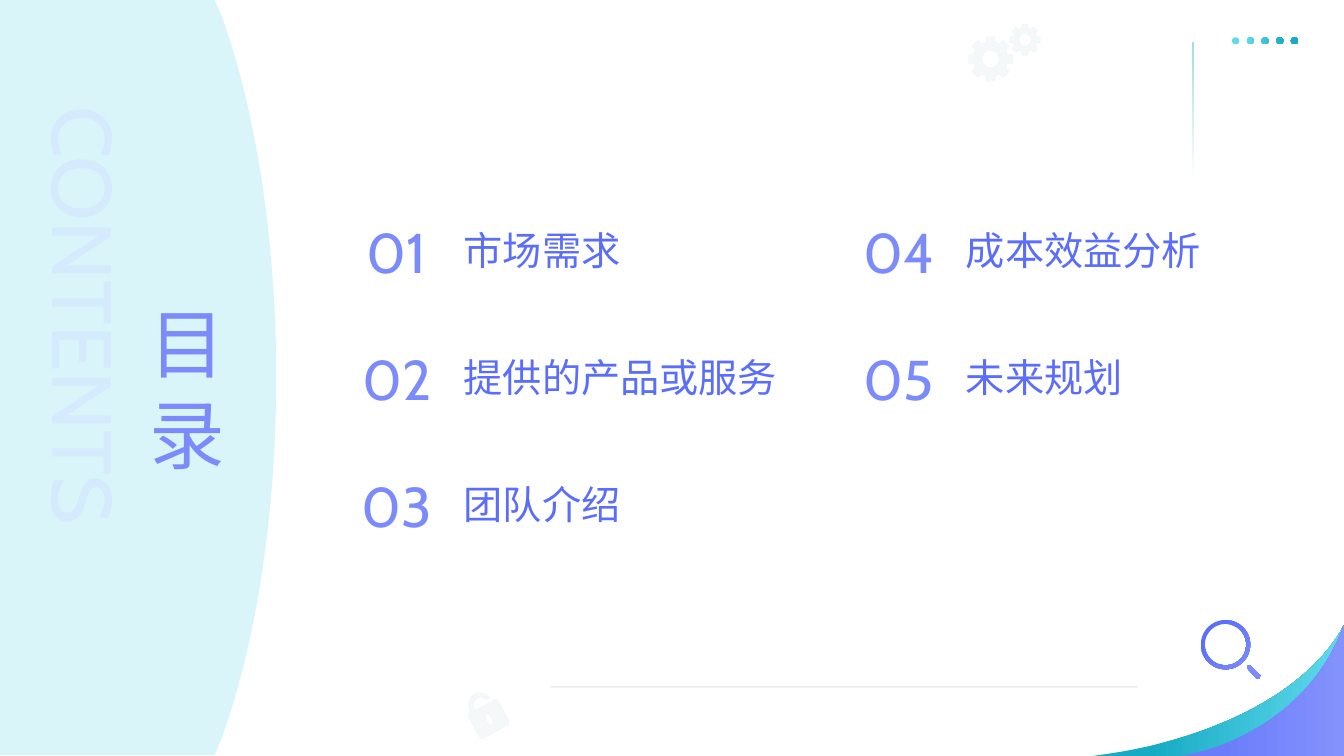
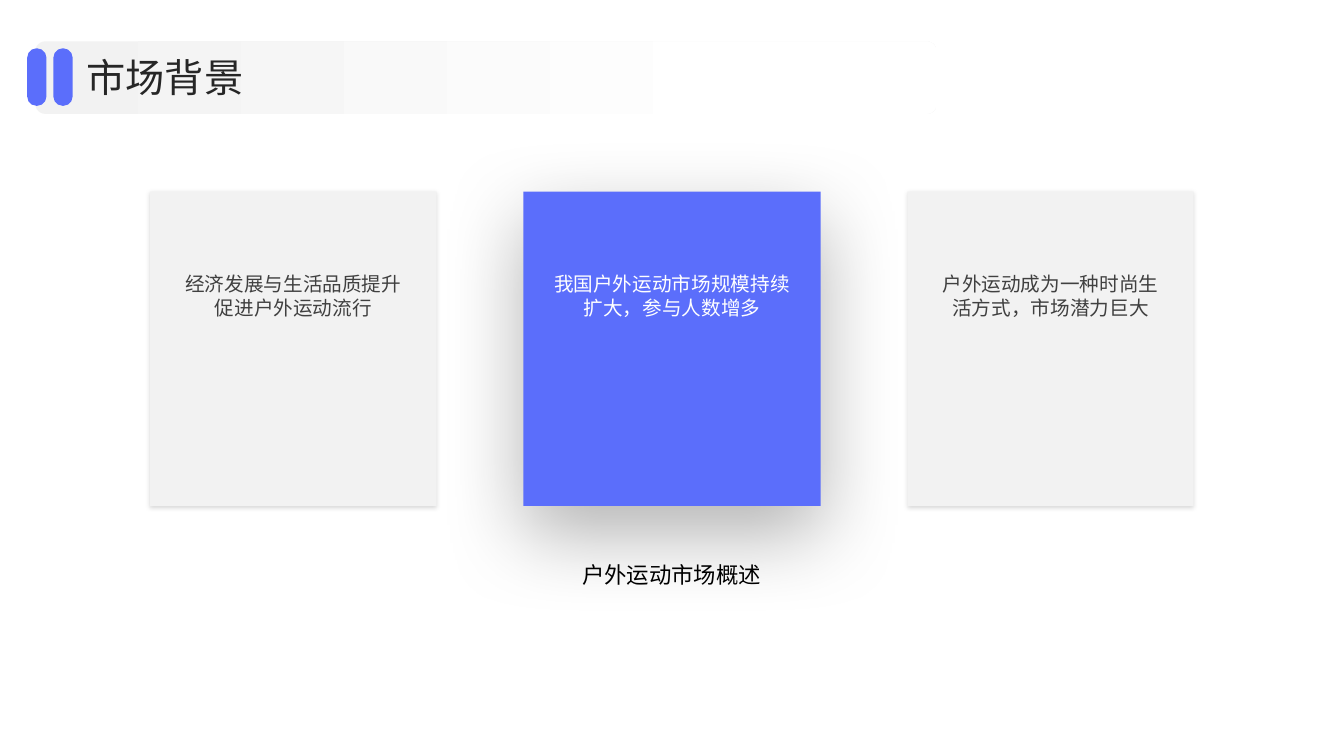
from dataclasses import dataclass
from math import cos, radians, sin

from lxml import etree
from pptx import Presentation
from pptx import util as u
from pptx.dml.color import RGBColor
from pptx.enum import shapes, text
from pptx.oxml import ns

PX = 9144
FACE = "Cabin"
SANS = "Noto Sans CJK SC"

WHITE = RGBColor(0xFF, 0xFF, 0xFF)
BLACK = RGBColor(0, 0, 0)
INK = RGBColor(0x26, 0x26, 0x26)
GREY = RGBColor(0x40, 0x40, 0x40)
RULE = RGBColor(0xD9, 0xD9, 0xD9)
PALE = RGBColor(0xF2, 0xF2, 0xF2)
BLUE = RGBColor(0x5B, 0x6E, 0xFB)
LILAC = RGBColor(0x7C, 0x8B, 0xFC)
VIOLET = RGBColor(0x6B, 0x7C, 0xFB)
MAUVE = RGBColor(0x84, 0x92, 0xFC)
EDGE = RGBColor(0x9D, 0xA8, 0xFD)
MIST = RGBColor(0xD5, 0xEA, 0xFC)
ICE = RGBColor(0xCA, 0xF2, 0xF9)
AQUA = RGBColor(0x61, 0xD9, 0xED)
TEAL = RGBColor(0x16, 0xAB, 0xC4)
PINE = RGBColor(0x0B, 0x56, 0x62)

LEFT, MID = text.PP_ALIGN.LEFT, text.PP_ALIGN.CENTER
TOP, HALF = text.MSO_ANCHOR.TOP, text.MSO_ANCHOR.MIDDLE
RECT = shapes.MSO_SHAPE.RECTANGLE
ROUND = shapes.MSO_SHAPE.ROUNDED_RECTANGLE


@dataclass(frozen=True)
class Box:
    x: int
    y: int
    w: int
    h: int

    def emu(self) -> list[int]:
        return [v * PX for v in (self.x, self.y, self.w, self.h)]


@dataclass(frozen=True)
class Blend:
    start: RGBColor
    end: RGBColor
    low: float = 0
    high: float = 1
    angle: int = 0


@dataclass(frozen=True)
class Type:
    size: int
    ink: RGBColor | Blend
    face: str = FACE
    align: int = LEFT
    anchor: int = HALF


@dataclass(frozen=True)
class Shade:
    alpha: int
    blur: int
    drop: int


@dataclass(frozen=True)
class Card:
    words: str
    width: int
    fill: RGBColor
    ink: RGBColor
    shade: Shade


@dataclass(frozen=True)
class Gear:
    x: float
    y: float
    tip: float
    root: float
    hole: float


GLOW = Blend(LILAC, BLUE, angle=315)
DIGIT = Type(40, GLOW, align=MID)
TOPIC = Type(28, BLUE)
SIDE = Type(54, GLOW, align=MID, anchor=TOP)
GHOST = Type(60, MIST, align=MID)
TITLE = Type(28, INK, SANS)
NOTE = Type(16, BLACK, SANS, MID, TOP)

SOFT = Shade(15, 3, 1)
DEEP = Shade(30, 60, 20)

TOPICS = ["市场需求", "提供的产品或服务", "团队介绍", "成本效益分析", "未来规划"]
CARDS = [
    Card("经济发展与生活品质提升促进户外运动流行", 284, PALE, GREY, SOFT),
    Card("我国户外运动市场规模持续扩大，参与人数增多", 295, BLUE, WHITE, DEEP),
    Card("户外运动成为一种时尚生活方式，市场潜力巨大", 284, PALE, GREY, SOFT),
]
GEARS = [Gear(982.5, 58.5, 22.5, 17.5, 8.5), Gear(1016.5, 39.5, 15.5, 12, 6)]

PANEL = [(0, 0), (213, 0), (220, 16), (253, 108, 274, 234, 274, 374),
         (274, 514, 253, 641, 220, 732), (213, 749), (0, 749)]
WAVE = [(1333, 620), (1332, 622), (1298, 684, 1209, 732, 1098, 748),
        (1084, 750), (1333, 750)]
CREST = [(1333, 620), (1332, 622), (1310, 684, 1253, 732, 1181, 748),
         (1172, 750), (1333, 750)]
GRIP = [(1237, 663), (1246, 673), (1249, 673), (1250, 670), (1240, 660),
        (1237, 660)]
LOCK = [(479, 733), (504, 719), (505, 715), (494, 695), (491, 694),
        (471, 705), (470, 703), (468, 699, 470, 695, 473, 693),
        (476, 691, 479, 692, 482, 694), (485, 693), (485, 691),
        (480, 686, 472, 686, 468, 691), (464, 695, 464, 700, 466, 705),
        (467, 707), (465, 708), (464, 711), (476, 732)]
KEY = [(481, 711), (482, 708), (485, 709), (489, 715), (488, 719), (484, 718)]


def trace(steps: list[tuple]) -> list[tuple]:
    pts = []
    for step in steps:
        if len(step) == 2:
            pts.append(step)
            continue
        ends = [pts[-1], step[:2], step[2:4], step[4:]]
        for i in range(1, 25):
            t = i / 24
            mix = ((1 - t) ** 3, 3 * t * (1 - t) ** 2, 3 * t * t * (1 - t), t ** 3)
            pts.append(tuple(sum(m * p[k] for m, p in zip(mix, ends)) for k in (0, 1)))
    return pts


def polar(x: float, y: float, r: float, deg: float) -> tuple:
    return x + r * cos(radians(deg)), y + r * sin(radians(deg))


def ring(x: float, y: float, r: float) -> list[tuple]:
    return [polar(x, y, r, deg) for deg in range(0, 360, 6)]


def teeth(gear: Gear) -> list[tuple]:
    turns = ((gear.root, -15), (gear.tip, -11), (gear.tip, 11), (gear.root, 15))
    return [polar(gear.x, gear.y, r, base + turn)
            for base in range(0, 360, 45) for r, turn in turns]


def tint(fill, ink: RGBColor | Blend) -> None:
    if isinstance(ink, RGBColor):
        fill.solid()
        fill.fore_color.rgb = ink
        return
    fill.gradient()
    fill.gradient_angle = ink.angle
    ends = ((ink.start, ink.low), (ink.end, ink.high))
    for stop, (color, place) in zip(fill.gradient_stops, ends):
        stop.color.rgb = color
        stop.position = place


def fade(shape, *alphas: int) -> None:
    tones = list(shape.element.spPr.iter(ns.qn("a:srgbClr")))
    for tone, alpha in zip(tones, alphas):
        etree.SubElement(tone, ns.qn("a:alpha")).set("val", str(alpha * 1000))


def paint(shape, ink: RGBColor | Blend):
    shape.shadow.inherit = False
    tint(shape.fill, ink)
    shape.line.fill.background()
    return shape


def block(slide, box: Box, ink: RGBColor | Blend, kind: int = RECT):
    return paint(slide.shapes.add_shape(kind, *box.emu()), ink)


def draw(slide, ink: RGBColor | Blend, *loops: list[tuple]):
    loops = [[(x * PX, y * PX) for x, y in loop] for loop in loops]
    pen = slide.shapes.build_freeform(*loops[0][0], scale=1.0)
    for i, loop in enumerate(loops):
        if i:
            pen.move_to(*loop[0])
        pen.add_line_segments(loop[1:], close=True)
    return paint(pen.convert_to_shape(), ink)


def faint(slide, *loops: list[tuple]) -> None:
    shape = draw(slide, PINE, *loops)
    shape.line.width = u.Pt(0.15)
    tint(shape.line.fill, EDGE)
    fade(shape, 4, 10)


def write(shape, words: str, style: Type, pads: tuple = (0, 0, 0, 0)) -> None:
    frame = shape.text_frame
    frame.word_wrap = True
    frame.vertical_anchor = style.anchor
    (frame.margin_left, frame.margin_top,
     frame.margin_right, frame.margin_bottom) = [p * PX for p in pads]
    frame.text = words
    para = frame.paragraphs[0]
    para.alignment = style.align
    font = para.runs[0].font
    font.size = u.Pt(style.size)
    font.name = style.face
    tint(font.fill, style.ink)
    east = etree.SubElement(para.runs[0].font._element, ns.qn("a:ea"))
    east.set("typeface", FACE)


def label(slide, box: Box, words: str, style: Type, pads: tuple = (0, 0, 0, 0)):
    shape = slide.shapes.add_textbox(*box.emu())
    write(shape, words, style, pads)
    return shape


def cast(shape, shade: Shade) -> None:
    glow = shape.element.spPr.find(ns.qn("a:effectLst"))
    outer = etree.SubElement(glow, ns.qn("a:outerShdw"))
    outer.set("blurRad", str(u.Pt(shade.blur)))
    outer.set("dist", str(u.Pt(shade.drop)))
    outer.set("dir", "5400000")
    outer.set("algn", "t")
    outer.set("rotWithShape", "0")
    tone = etree.SubElement(outer, ns.qn("a:srgbClr"))
    tone.set("val", str(BLACK))
    etree.SubElement(tone, ns.qn("a:alpha")).set("val", str(shade.alpha * 1000))


def agenda(slide) -> None:
    fade(draw(slide, ICE, trace(PANEL)), 70)
    ghost = label(slide, Box(35, 63, 100, 500), "CONTENTS", GHOST)
    ghost.text_frame._txBody.bodyPr.set("vert", "vert")
    draw(slide, Blend(TEAL, AQUA, 0.23), trace(WAVE))
    draw(slide, Blend(VIOLET, MAUVE, 0.23), trace(CREST))
    dots = [ring(1225.5 + 14.6 * i, 40.5, 3.5) for i in range(5)]
    draw(slide, Blend(AQUA, TEAL, 0.19, 0.82), *dots)
    fade(block(slide, Box(546, 681, 583, 1), RULE), 80)
    lens = [ring(1215.5, 639.5, r) for r in (24.5, 20.5)]
    draw(slide, Blend(BLUE, LILAC, 0.19, 0.81, 315), *lens, GRIP)
    fade(block(slide, Box(1183, 42, 1, 174), Blend(TEAL, TEAL, 0, 0.78, 270)), 50, 0)
    faint(slide, trace(LOCK), KEY)
    loops = []
    for gear in GEARS:
        loops += [teeth(gear), ring(gear.x, gear.y, gear.hole)]
    faint(slide, *loops)
    for i, topic in enumerate(TOPICS):
        col, row = divmod(i, 3)
        x, y = 341 + 498 * col, 194 + 126 * row
        label(slide, Box(x, y, 105, 110), f"{i + 1:02}", DIGIT)
        label(slide, Box(x + 119, y - 2, 329, 111), topic, TOPIC)
    label(slide, Box(139, 295, 94, 161), "目录", SIDE)


def header(slide, words: str) -> None:
    band = block(slide, Box(35, 41, 894, 72), Blend(PALE, WHITE, 0, 0.8), ROUND)
    band.adjustments[0] = 0.14
    label(slide, Box(86, 51, 1167, 51), words, TITLE)
    for x in (27, 53):
        block(slide, Box(x, 48, 19, 57), BLUE, ROUND).adjustments[0] = 0.48


def market(slide) -> None:
    x = 149
    for card in CARDS:
        tile = block(slide, Box(x, 190, card.width, 312), card.fill)
        cast(tile, card.shade)
        write(tile, card.words, Type(14, card.ink, SANS, MID, TOP), (30, 80, 30, 5))
        x += card.width + 86
    label(slide, Box(72, 552, 1188, 69), "户外运动市场概述", NOTE, (10, 5, 10, 5))
    header(slide, "市场背景")


def main() -> None:
    deck = Presentation()
    deck.slide_width, deck.slide_height = u.Inches(13.33), u.Inches(7.5)
    for build in (agenda, market):
        build(deck.slides.add_slide(deck.slide_layouts[6]))
    deck.save("out.pptx")


if __name__ == "__main__":
    main()
